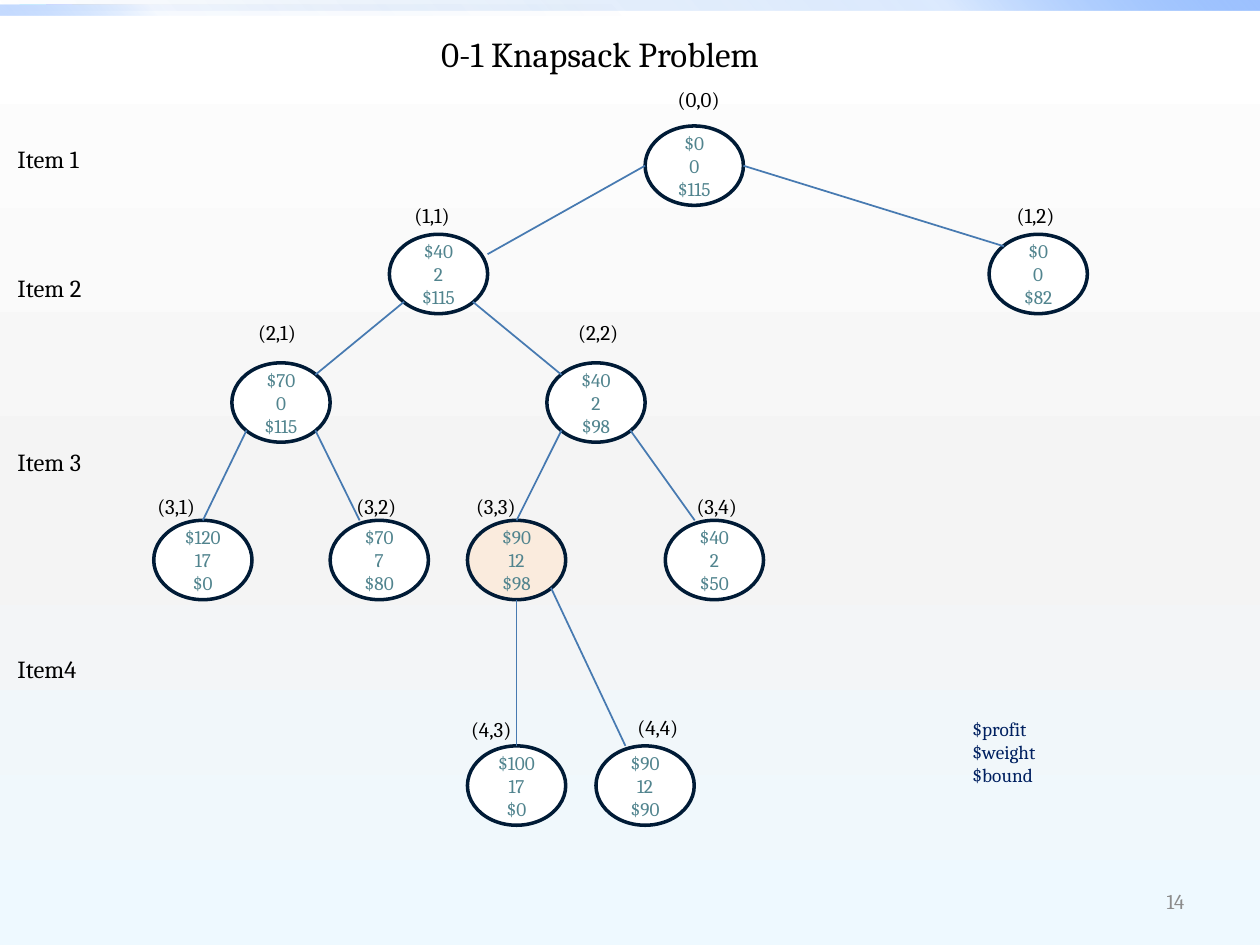
from lxml.etree import SubElement
from pptx import Presentation
from pptx.dml.color import RGBColor
from pptx.enum.shapes import MSO_CONNECTOR, MSO_SHAPE
from pptx.enum.text import MSO_ANCHOR, MSO_AUTO_SIZE, PP_ALIGN
from pptx.oxml import parse_xml
from pptx.oxml.ns import nsdecls, qn
from pptx.util import Inches, Pt

BLACK = RGBColor(0x00, 0x00, 0x00)
WHITE = RGBColor(0xFF, 0xFF, 0xFF)
NAVY = RGBColor(0x00, 0x1B, 0x36)
LEGEND_BLUE = RGBColor(0x00, 0x20, 0x60)
TEAL = RGBColor(0x51, 0x84, 0x8E)
PEACH = RGBColor(0xFA, 0xEB, 0xDD)
EDGE_BLUE = RGBColor(0x47, 0x7A, 0xB1)
GRAY = RGBColor(0x8C, 0x8C, 0x8C)
LIGHT_GRAY = RGBColor(0xF4, 0xF4, 0xF4)
ICE = RGBColor(0xEE, 0xF9, 0xFF)
DEEP_BLUE = RGBColor(0x00, 0x58, 0xB7)
MID_BLUE = RGBColor(0x4F, 0x95, 0xFF)
SKY = RGBColor(0x9E, 0xC2, 0xFF)

FONT = "Cambria"
NODE_W, NODE_H = 0.78, 0.63
NEAR, FAR = 0.15, 0.85

SITES = {
    "top": (0.5, 0), "bottom": (0.5, 1), "left": (0, 0.5), "right": (1, 0.5),
    "top left": (NEAR, NEAR), "top right": (FAR, NEAR),
    "bottom left": (NEAR, FAR), "bottom right": (FAR, FAR),
    "upper right": (1, 0.25), "upper left": (0.3, 0),
}

NODES = {
    "(0,0)": (5.12, 1, "$0\n0\n$115", 5.28, 0.64),
    "(1,1)": (3.09, 1.86, "$40\n2\n$115", 3.19, 1.56),
    "(1,2)": (7.85, 1.86, "$0\n0\n$82", 7.97, 1.56),
    "(2,1)": (1.84, 2.88, "$70\n0\n$115", 1.95, 2.49),
    "(2,2)": (4.34, 2.88, "$40\n2\n$98", 4.49, 2.49),
    "(3,1)": (1.22, 4.13, "$120\n17\n$0", 1.15, 3.87),
    "(3,2)": (2.62, 4.13, "$70\n7\n$80", 2.73, 3.87),
    "(3,3)": (3.71, 4.13, "$90\n12\n$98", 3.68, 3.87),
    "(3,4)": (5.28, 4.13, "$40\n2\n$50", 5.43, 3.87),
    "(4,3)": (3.71, 5.92, "$100\n17\n$0", 3.64, 5.64),
    "(4,4)": (4.73, 5.92, "$90\n12\n$90", 4.96, 5.62),
}
HIGHLIGHTED = "(3,3)"

EDGES = [
    ("(0,0)", "left", "(1,1)", "upper right"),
    ("(0,0)", "right", "(1,2)", "top left"),
    ("(1,1)", "bottom left", "(2,1)", "top right"),
    ("(1,1)", "bottom right", "(2,2)", "top left"),
    ("(2,1)", "bottom left", "(3,1)", "top"),
    ("(2,1)", "bottom right", "(3,2)", "upper left"),
    ("(2,2)", "bottom left", "(3,3)", "top"),
    ("(2,2)", "bottom right", "(3,4)", "upper left"),
    ("(3,3)", "bottom", "(4,3)", "top"),
    ("(3,3)", "bottom right", "(4,4)", "upper left"),
]

LEVELS = [("Item 1", 1.09), ("Item 2", 2.12), ("Item 3", 3.5), ("Item4", 5.14)]


def apply(target, values):
    for name, value in values.items():
        setattr(target, name, value)


def write(frame, text, size, color, align=PP_ALIGN.LEFT, **frame_format):
    apply(frame, {"word_wrap": True, "auto_size": MSO_AUTO_SIZE.NONE,
                  "vertical_anchor": MSO_ANCHOR.TOP, **frame_format})
    frame.text = text
    for paragraph in frame.paragraphs:
        paragraph.alignment = align
        apply(paragraph.font, {"name": FONT, "size": Pt(size), "bold": False})
        paragraph.font.color.rgb = color


def add_label(slide, text, box, size, color, align=PP_ALIGN.LEFT, **frame_format):
    label = slide.shapes.add_textbox(*map(Inches, box))
    write(label.text_frame, text, size, color, align, **frame_format)


def set_gradient(fill, parent, stops, angle):
    fill.solid()
    gradient = parse_xml(f'<a:gradFill {nsdecls("a")} rotWithShape="1"/>')
    stop_list = SubElement(gradient, qn("a:gsLst"))
    for position, color, alpha in stops:
        stop = SubElement(stop_list, qn("a:gs"), pos=str(position * 1000))
        tint = SubElement(stop, qn("a:srgbClr"), val=str(color))
        SubElement(tint, qn("a:alpha"), val=str(alpha * 1000))
    SubElement(gradient, qn("a:lin"), ang=str(angle * 60000), scaled="0")
    parent.replace(parent.find(qn("a:solidFill")), gradient)


def set_background(slide):
    fill = slide.background.fill
    fill.solid()
    properties = slide.element.xpath(".//p:bgPr")[0]
    stops = [(0, WHITE, 100), (55, LIGHT_GRAY, 100), (100, ICE, 100)]
    set_gradient(fill, properties, stops, 90)


def add_band(slide, box, alphas, angle):
    band = slide.shapes.add_shape(MSO_SHAPE.RECTANGLE, *map(Inches, box))
    band.shadow.inherit = False
    band.line.fill.background()
    stops = list(zip((0, 75, 100), (DEEP_BLUE, MID_BLUE, SKY), alphas))
    set_gradient(band.fill, band.element.spPr, stops, angle)


def add_node(slide, left, top, values, fill_color):
    node = slide.shapes.add_shape(
        MSO_SHAPE.OVAL, *map(Inches, (left, top, NODE_W, NODE_H)))
    node.shadow.inherit = False
    node.fill.solid()
    node.fill.fore_color.rgb = fill_color
    node.line.color.rgb = NAVY
    node.line.width = Pt(2)
    write(node.text_frame, values, 11, TEAL, PP_ALIGN.CENTER,
          vertical_anchor=MSO_ANCHOR.MIDDLE, margin_left=0, margin_right=0)


def site_point(node, site):
    left, top = NODES[node][:2]
    across, down = SITES[site]
    return Inches(left + across * NODE_W), Inches(top + down * NODE_H)


def add_edge(slide, parent, parent_site, child, child_site):
    edge = slide.shapes.add_connector(
        MSO_CONNECTOR.STRAIGHT,
        *site_point(parent, parent_site), *site_point(child, child_site))
    edge.line.color.rgb = EDGE_BLUE
    edge.line.width = Pt(1)
    SubElement(edge.element.spPr, qn("a:effectLst"))


def set_title(slide, text):
    title = slide.shapes.title
    apply(title, {"left": Inches(3.4), "top": Inches(0.21),
                  "width": Inches(3.05), "height": Inches(0.44)})
    write(title.text_frame, text, 20, BLACK)


def main():
    presentation = Presentation()
    apply(presentation, {"slide_width": Inches(10), "slide_height": Inches(7.5)})
    slide = presentation.slides.add_slide(presentation.slide_layouts[5])
    set_background(slide)
    add_band(slide, (0, 0, 10, 0.08), (0, 20, 100), 315)
    add_band(slide, (0, 0.04, 5, 0.08), (0, 5, 60), 135)
    set_title(slide, "0-1 Knapsack Problem")
    for name, (left, top, values, label_left, label_top) in NODES.items():
        add_node(slide, left, top, values, PEACH if name == HIGHLIGHTED else WHITE)
        add_label(slide, name, (label_left, label_top, 0.67, 0.3), 12, BLACK)
    for edge in EDGES:
        add_edge(slide, *edge)
    for item, top in LEVELS:
        add_label(slide, item, (0.04, top, 1.26, 0.34), 14, BLACK)
    add_label(slide, "$profit\n$weight\n$bound", (7.62, 5.64, 0.94, 0.66),
              11, LEGEND_BLUE)
    add_label(slide, "14", (7.17, 6.95, 2.33, 0.4), 12, GRAY, PP_ALIGN.RIGHT,
              vertical_anchor=MSO_ANCHOR.MIDDLE)
    presentation.save("out.pptx")


if __name__ == "__main__":
    main()
